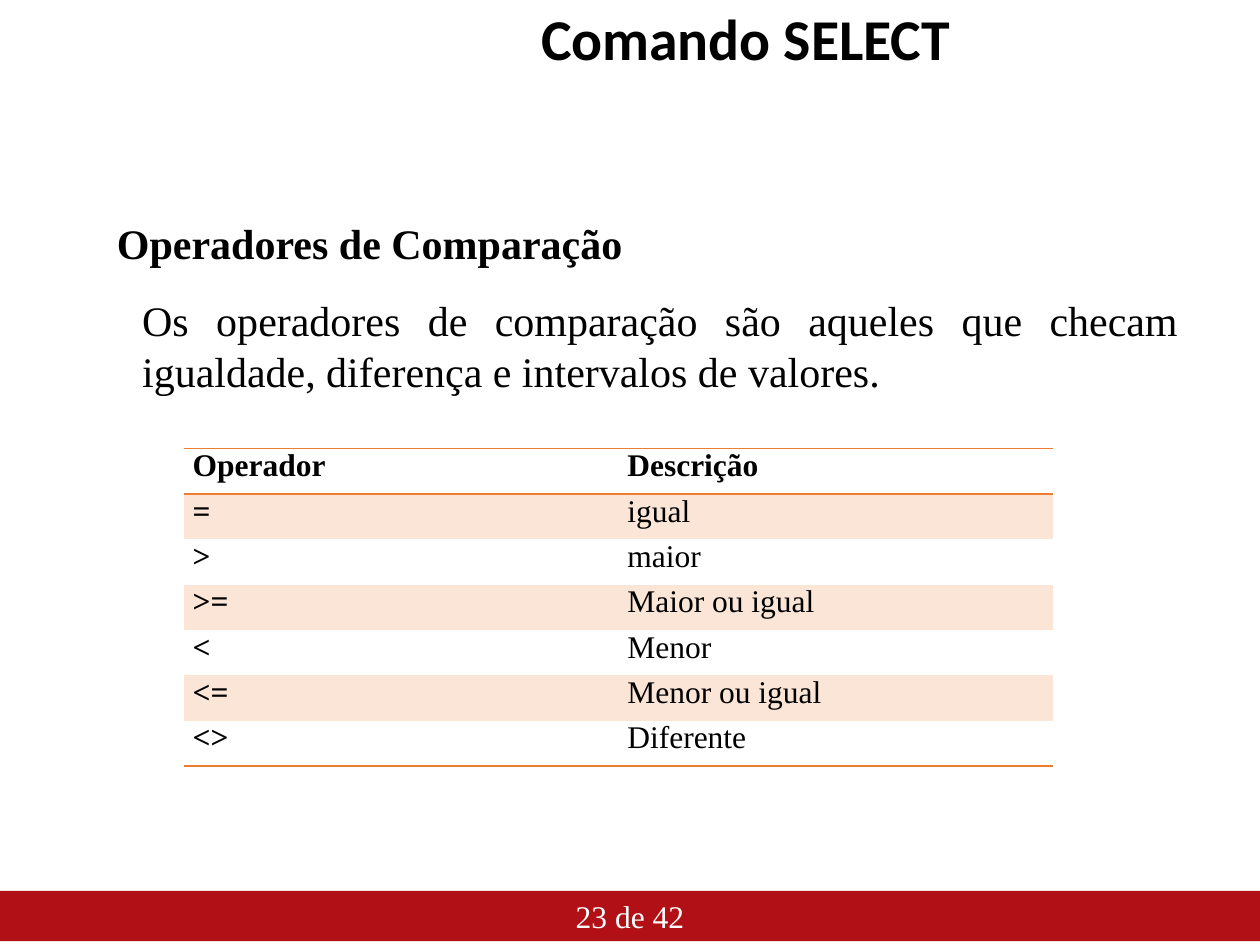
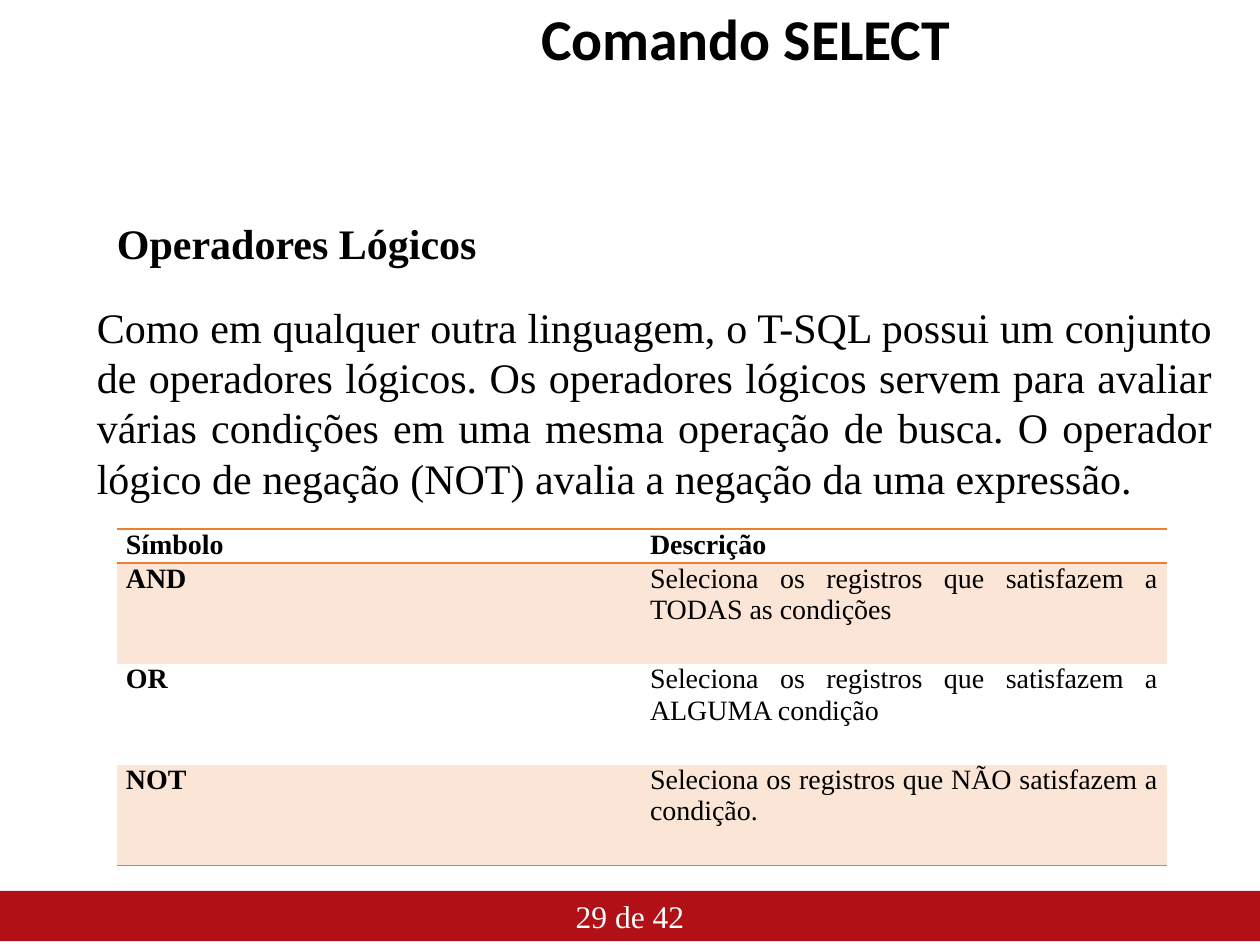
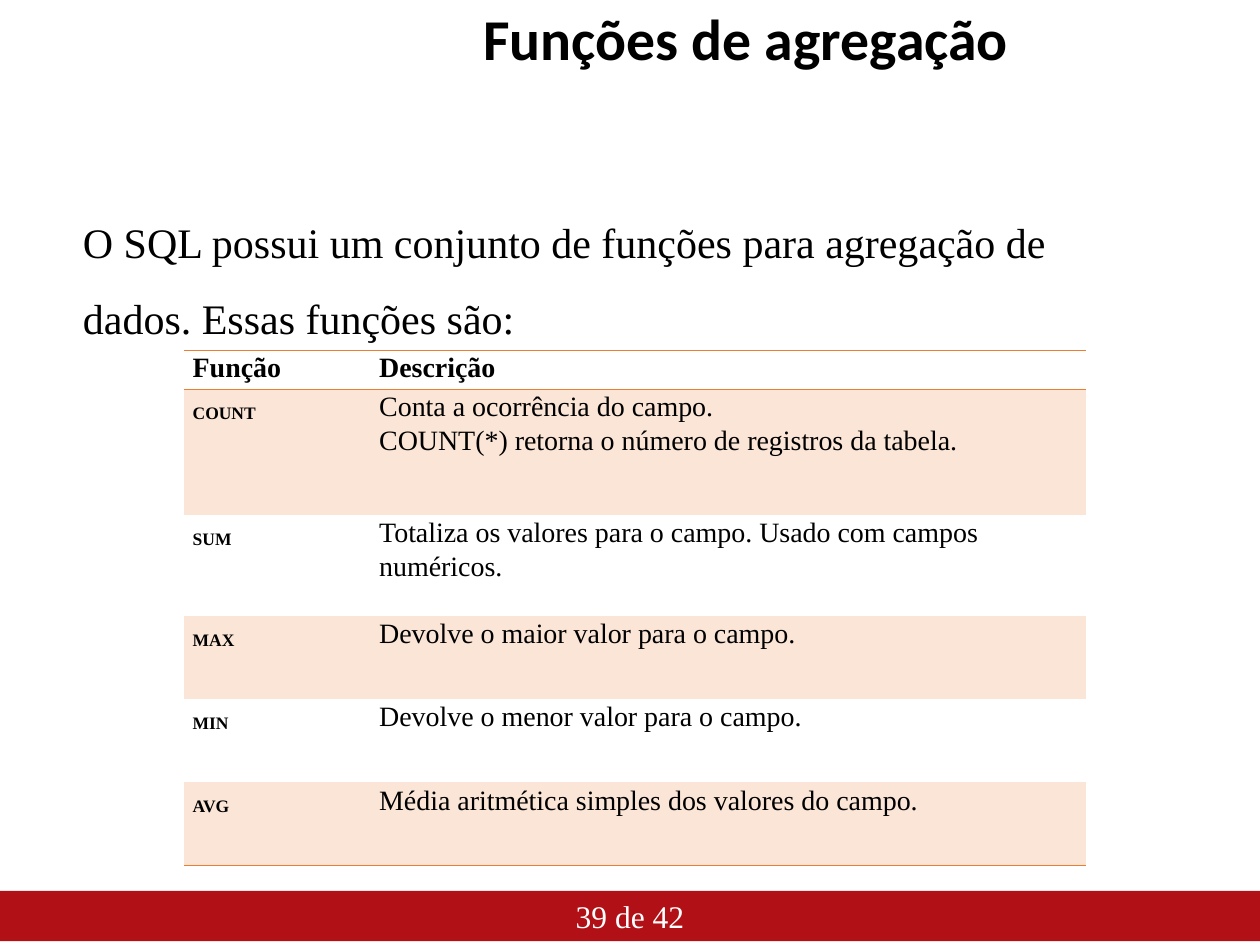
from pptx import Presentation
from pptx.dml.color import RGBColor
from pptx.enum.shapes import MSO_SHAPE
from pptx.enum.text import MSO_ANCHOR, MSO_AUTO_SIZE, PP_ALIGN
from pptx.oxml.ns import qn
from pptx.oxml.xmlchemy import OxmlElement
from pptx.util import Inches, Pt

COLORS = {"text": "000000", "band": "B11116", "light": "FFFFFF",
          "rule": "ED7D31", "stripe": "FBE5D6"}
TITLE_FONT, BODY_FONT = "Calibri", "Times New Roman"
PLAIN_TABLE_STYLE = "{2D5ABB26-0587-4C30-8999-92F81FD0307C}"
PAGE_COUNT = 42
LEFT, JUSTIFY = PP_ALIGN.LEFT, PP_ALIGN.JUSTIFY

SLIDES = [
    {
        "page": 23,
        "title": "Comando SELECT",
        "heading": "Operadores de Comparação",
        "intro": {
            "text": "Os operadores de comparação são aqueles que checam igualdade, "
                    "diferença e intervalos de valores.",
            "box": (0.71, 2.29, 8.74, 0.91), "indent": 0.32, "align": JUSTIFY, "spacing": 1.0},
        "table": {
            "at": (1.46, 3.56), "columns": (3.45, 3.45), "rows": [0.36] * 7,
            "size": 18, "key_size": 18, "align": JUSTIFY, "spacing": 1.0,
            "cells": [
                ("Operador", "Descrição"),
                ("=", "igual"),
                (">", "maior"),
                (">=", "Maior ou igual"),
                ("<", "Menor"),
                ("<=", "Menor ou igual"),
                ("<>", "Diferente"),
            ]},
    },
    {
        "page": 29,
        "title": "Comando SELECT",
        "heading": "Operadores Lógicos",
        "intro": {
            "text": "Como em qualquer outra linguagem, o T-SQL possui um conjunto de operadores "
                    "lógicos. Os operadores lógicos servem para avaliar várias condições em uma "
                    "mesma operação de busca. O operador lógico de negação (NOT) avalia a negação "
                    "da uma expressão.",
            "box": (0.35, 2.34, 9.37, 1.72), "indent": 0.32, "align": JUSTIFY, "spacing": 1.0},
        "table": {
            "at": (0.93, 4.2), "columns": (4.16, 4.17), "rows": [0.27] + [0.8] * 3,
            "size": 16, "key_size": 16, "align": JUSTIFY, "spacing": 1.0,
            "cells": [
                ("Símbolo", "Descrição"),
                ("AND", "Seleciona os registros que satisfazem a TODAS as condições"),
                ("OR", "Seleciona os registros que satisfazem a ALGUMA condição"),
                ("NOT", "Seleciona os registros que NÃO satisfazem a condição."),
            ]},
    },
    {
        "page": 39,
        "title": "Funções de agregação",
        "heading": None,
        "intro": {
            "text": "O SQL possui um conjunto de funções para agregação de dados. "
                    "Essas funções são:",
            "box": (0, 1.47, 9.3, 1.31), "indent": 0.56, "align": LEFT, "spacing": 1.5},
        "table": {
            "at": (1.46, 2.78), "columns": (1.48, 5.68), "rows": [0.31, 1, 0.8] + [0.66] * 3,
            "size": 16, "key_size": 10, "align": LEFT, "spacing": Pt(19.3),
            "cells": [
                ("Função", "Descrição"),
                ("COUNT", "Conta a ocorrência do campo.\n"
                          "COUNT(*) retorna o número de registros da tabela."),
                ("SUM", "Totaliza os valores para o campo. Usado com campos numéricos."),
                ("MAX", "Devolve o maior valor para o campo."),
                ("MIN", "Devolve o menor valor para o campo."),
                ("AVG", "Média aritmética simples dos valores do campo."),
            ]},
    },
]


def color(name):
    return RGBColor.from_string(COLORS[name])


def write(frame, text, size, font=BODY_FONT, ink="text", bold=False, align=LEFT, spacing=1.0):
    """Fill a text frame and format all its paragraphs alike."""
    frame.text = text
    for paragraph in frame.paragraphs:
        paragraph.alignment = align
        paragraph.line_spacing = spacing
        paragraph.font.name = font
        paragraph.font.size = Pt(size)
        paragraph.font.bold = bold
        paragraph.font.color.rgb = color(ink)


def add_title(slide, text):
    title = slide.shapes.title
    title.left, title.top, title.width, title.height = map(Inches, (1.85, 0, 8.14, 0.67))
    frame = title.text_frame
    frame.auto_size = MSO_AUTO_SIZE.NONE
    frame.vertical_anchor = MSO_ANCHOR.MIDDLE
    write(frame, text, 33, TITLE_FONT, bold=True, align=PP_ALIGN.CENTER, spacing=0.9)


def add_page_band(slide, page):
    band = slide.shapes.add_shape(MSO_SHAPE.RECTANGLE, *map(Inches, (0, 7.07, 10, 0.4)))
    band.shadow.inherit = False
    band.fill.solid()
    band.fill.fore_color.rgb = color("band")
    band.line.fill.background()
    band.text_frame.vertical_anchor = MSO_ANCHOR.MIDDLE
    write(band.text_frame, f"{page} de {PAGE_COUNT}", 18, ink="light", align=PP_ALIGN.CENTER)


def add_heading(slide, text):
    box = slide.shapes.add_textbox(*map(Inches, (0.83, 1.68, 4.25, 0.5)))
    write(box.text_frame, text, 24, bold=True)


def add_intro(slide, intro):
    frame = slide.shapes.add_textbox(*map(Inches, intro["box"])).text_frame
    frame.word_wrap = True
    write(frame, intro["text"], 24, align=intro["align"], spacing=intro["spacing"])
    properties = frame.paragraphs[0]._p.get_or_add_pPr()
    properties.set("marL", str(Inches(intro["indent"])))
    properties.set("indent", "0")


def add_rule(cell, side):
    line = OxmlElement(f"a:{side}")
    line.set("w", str(Pt(1)))
    fill = OxmlElement("a:solidFill")
    ink = OxmlElement("a:srgbClr")
    ink.set("val", COLORS["rule"])
    fill.append(ink)
    line.append(fill)
    cell._tc.get_or_add_tcPr().append(line)


def add_striped_table(slide, data):
    rows, columns = data["rows"], data["columns"]
    size = (sum(columns), sum(rows))
    table = slide.shapes.add_table(len(rows), len(columns),
                                   *map(Inches, data["at"] + size)).table
    table._tbl.tblPr.find(qn("a:tableStyleId")).text = PLAIN_TABLE_STYLE
    for column, width in zip(table.columns, columns):
        column.width = Inches(width)
    for row, height in zip(table.rows, rows):
        row.height = Inches(height)

    for r, texts in enumerate(data["cells"]):
        for c, text in enumerate(texts):
            cell = table.cell(r, c)
            cell.margin_left = cell.margin_right = Inches(0.07)
            cell.margin_top = cell.margin_bottom = 0
            is_header, is_key = r == 0, c == 0
            write(cell.text_frame, text,
                  data["key_size"] if is_key and not is_header else data["size"],
                  bold=is_header or is_key, align=data["align"], spacing=data["spacing"])
            if is_header:
                add_rule(cell, "lnT")
            if is_header or r == len(rows) - 1:
                add_rule(cell, "lnB")
            if r % 2:
                cell.fill.solid()
                cell.fill.fore_color.rgb = color("stripe")
            else:
                cell.fill.background()


def main():
    presentation = Presentation()
    presentation.slide_width, presentation.slide_height = Inches(10), Inches(7.5)
    title_only = presentation.slide_layouts[5]
    for content in SLIDES:
        slide = presentation.slides.add_slide(title_only)
        add_page_band(slide, content["page"])
        add_title(slide, content["title"])
        if content["heading"]:
            add_heading(slide, content["heading"])
        add_intro(slide, content["intro"])
        add_striped_table(slide, content["table"])
    presentation.save("out.pptx")


if __name__ == "__main__":
    main()
